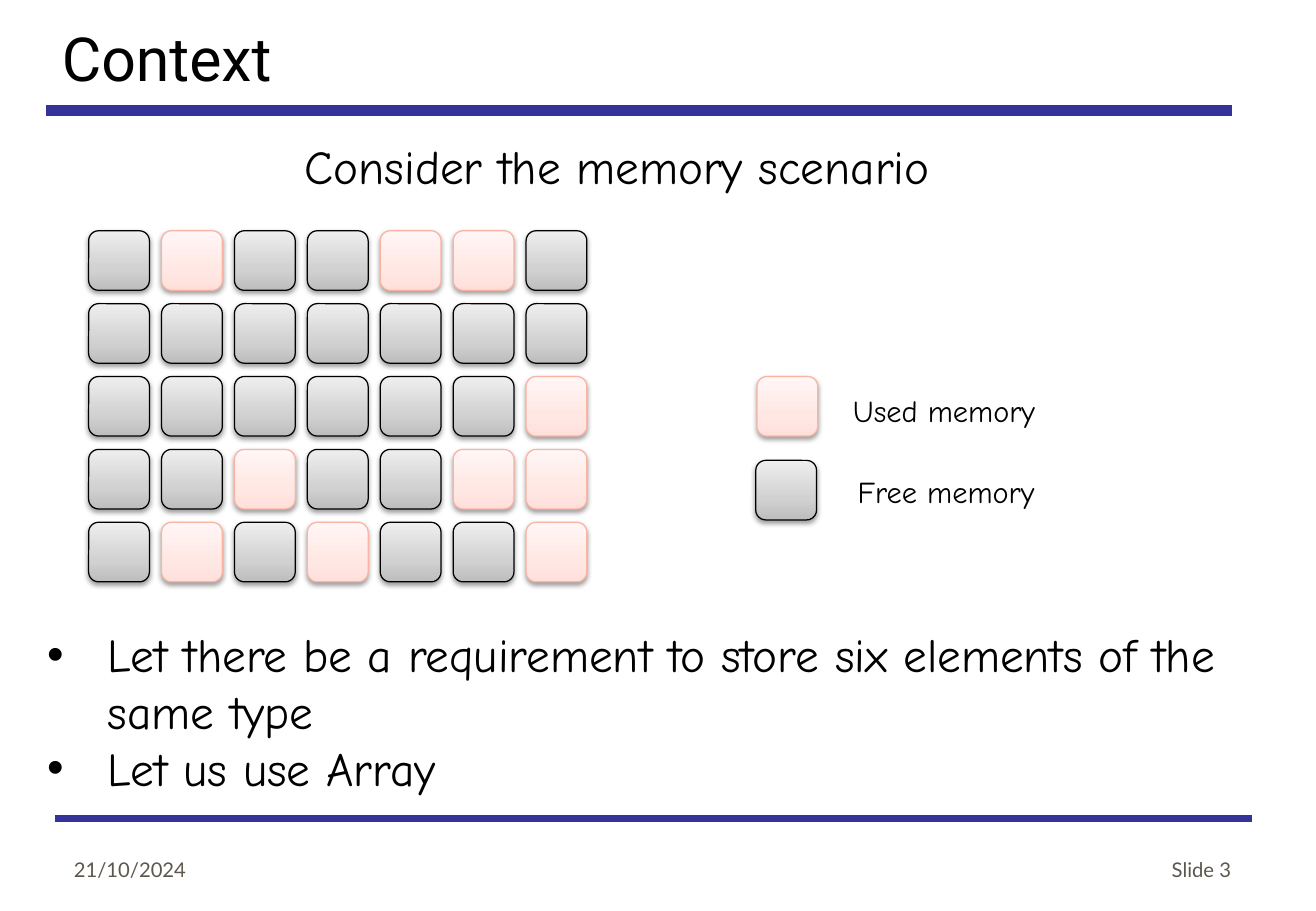
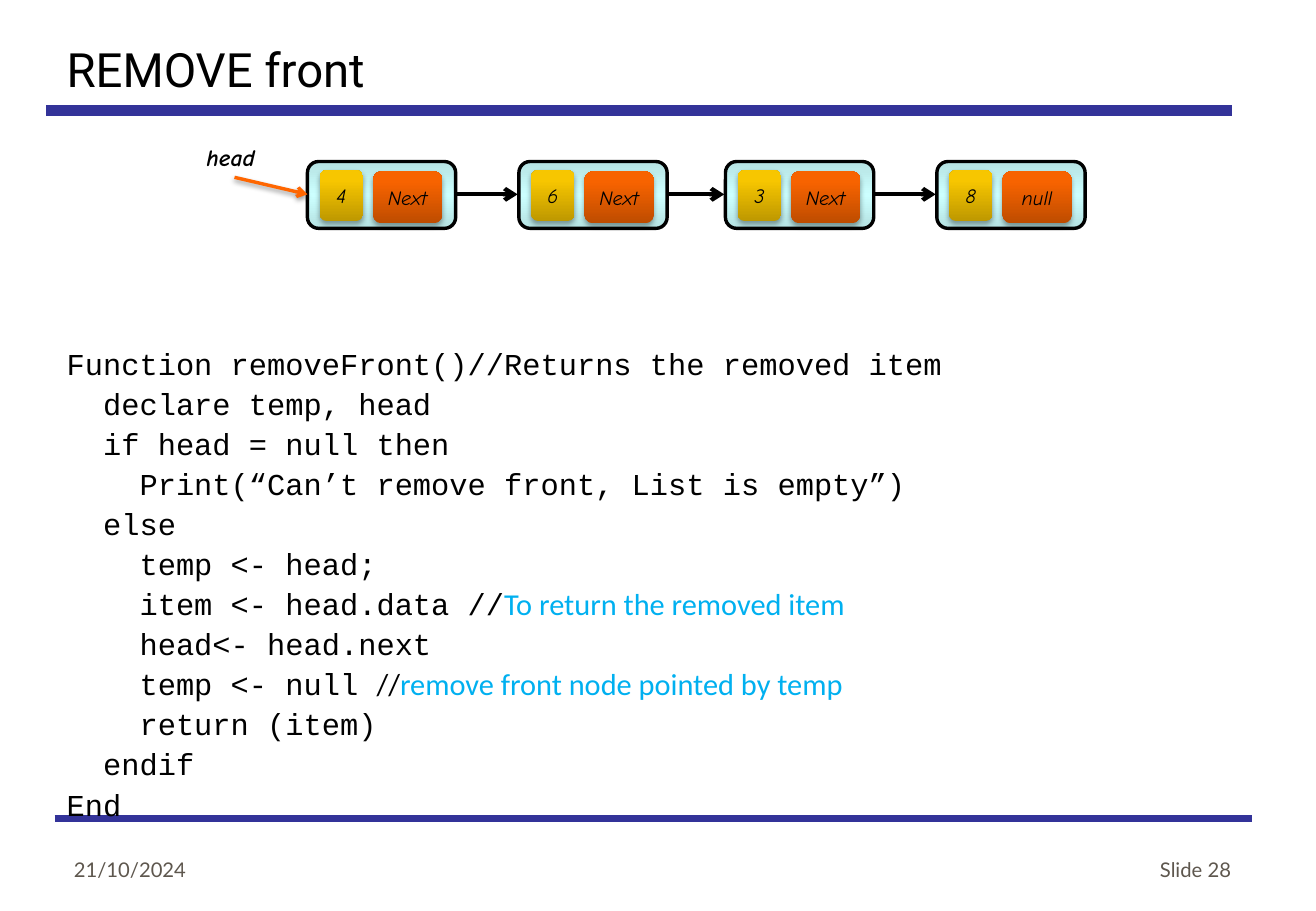
"""Build two lecture slides: a memory map, and removing the front node of a linked list."""
from lxml import etree
from pptx import Presentation
from pptx.dml.color import RGBColor
from pptx.enum.shapes import MSO_CONNECTOR, MSO_SHAPE
from pptx.enum.text import MSO_ANCHOR, PP_ALIGN
from pptx.oxml.ns import nsdecls, qn
from pptx.oxml import parse_xml
from pptx.util import Pt

PX = 9144
SLIDE_SIZE = (1083, 750)
ROUNDED, STRAIGHT = MSO_SHAPE.ROUNDED_RECTANGLE, MSO_CONNECTOR.STRAIGHT
LEFT, RIGHT, CENTER = PP_ALIGN.LEFT, PP_ALIGN.RIGHT, PP_ALIGN.CENTER
TOP, MIDDLE, BOTTOM = MSO_ANCHOR.TOP, MSO_ANCHOR.MIDDLE, MSO_ANCHOR.BOTTOM

BLACK, NAVY, TAUPE, ORANGE, SKY = "000000", "333399", "5E574E", "FF6600", "00B0F0"
HEADING, HAND, MONO, PLAIN, SMALL = "Roboto", "Comic Neue", "Courier New", "Calibri", "Lato"

FREE = {"stops": [(0, "BDBDBD"), (35, "D1D1D1"), (100, "EEEEEE")], "outline": (BLACK, 0.75)}
USED = {"stops": [(0, "FFDFDA"), (35, "FFE8E4"), (100, "FFF6F5")], "outline": ("FBB3A4", 0.75)}
NODE = {"stops": [(0, "B5E2E2"), (50, "CCFFFF"), (100, "B5E2E2")], "angle": 90,
        "outline": (BLACK, 2), "shadow": None}
DATA = {"stops": [(0, "BE9800"), (80, "F7C600"), (100, "F8C700")], "shadow": (35, 3.1, 1.8)}
LINK = {"stops": [(0, "BE4C00"), (80, "F76300"), (100, "F86300")], "shadow": (35, 3.1, 1.8)}
SOFT_SHADOW = (38, 3.1, 1.6)

DATE = "21/10/2024"
BANDS = [((38, 91), (1014, 91), 6), ((45, 674), (1030, 674), 4.5)]

MEMORY = [".#..##.", ".......", "......#", "..#..##", ".#.#..#"]
CELL_SIZE = (50, 49)
CELL_ORIGIN, CELL_STEP = (73, 190), 60
LEGEND = [(USED, (623, 310), "Used memory", (692, 318, 179, 40)),
          (FREE, (622, 379), "Free memory", (696, 385, 174, 40))]
REQUIREMENTS = ["Let there be a requirement to store six elements of the same type",
                "Let us use Array"]

LIST_NODES = [(253, "4", "Next"), (427, "6", "Next"), (597, "3", "Next"), (771, "8", "null")]
NODE_WIDTH, LIST_MIDDLE = 122, 160
CODE = [
    [("Function removeFront()//Returns the removed item", MONO, BLACK)],
    [("  declare temp, head", MONO, BLACK)],
    [("  if head = null then", MONO, BLACK)],
    [("    Print(“Can’t remove front, List is empty”)", MONO, BLACK)],
    [("  else", MONO, BLACK)],
    [("    temp <- head;", MONO, BLACK)],
    [("    item <- head.data //", MONO, BLACK), ("To return the removed item", PLAIN, SKY)],
    [("    head<- head.next", MONO, BLACK)],
    [("    temp <- null ", MONO, BLACK), ("//", PLAIN, BLACK),
     ("remove front node pointed by temp", PLAIN, SKY)],
    [("    return (item)", MONO, BLACK)],
    [("  endif", MONO, BLACK)],
    [("End", MONO, BLACK)],
]


def rgb(value):
    """Turn a hex string into a colour."""
    return RGBColor.from_string(value)


def emu(*lengths):
    """Turn px lengths into EMU."""
    return [length * PX for length in lengths]


def set_shadow(properties, shadow):
    """Give shape properties an effect list, with a downward shadow if one is set."""
    effects = etree.SubElement(properties, qn("a:effectLst"))
    if shadow:
        opacity, blur, distance = shadow
        outer = etree.SubElement(effects, qn("a:outerShdw"), blurRad=str(Pt(blur)),
                                 dist=str(Pt(distance)), dir="5400000", rotWithShape="0")
        color = etree.SubElement(outer, qn("a:srgbClr"), val=BLACK)
        etree.SubElement(color, qn("a:alpha"), val=str(opacity * 1000))


def add_line(page, start, end, color, width, arrow=False, shadow=None):
    """Draw a straight line, with an arrowhead at its end if asked."""
    line = page.shapes.add_connector(STRAIGHT, *emu(*start, *end))
    line.line.color.rgb = rgb(color)
    line.line.width = Pt(width)
    if arrow:
        etree.SubElement(line.line._get_or_add_ln(), qn("a:tailEnd"), type="arrow")
    set_shadow(line._element.spPr, shadow)


def write(box, lines, size, align=LEFT, anchor=TOP, wrap=True, italic=False, bold=False,
          bullets=False, spacing=None):
    """Fill a shape with lines, each a list of (text, font, colour) runs."""
    frame = box.text_frame
    frame.word_wrap = wrap
    frame.vertical_anchor = anchor
    for index, spans in enumerate(lines):
        para = frame.add_paragraph() if index else frame.paragraphs[0]
        para.alignment = align
        if spacing:
            para.line_spacing = Pt(spacing)
        if bullets:
            settings = para._p.get_or_add_pPr()
            settings.set("marL", str(50 * PX))
            settings.set("indent", str(-50 * PX))
            etree.SubElement(settings, qn("a:buFont"), typeface="Arial")
            etree.SubElement(settings, qn("a:buChar"), char="•")
        for text, font, color in spans:
            span = para.add_run()
            span.text = text
            span.font.name = font
            span.font.size = Pt(size)
            span.font.color.rgb = rgb(color)
            span.font.italic = italic
            span.font.bold = bold


def add_text(page, area, lines, size, **style):
    """Add a text box."""
    write(page.shapes.add_textbox(*emu(*area)), lines, size, **style)


def add_tile(page, area, stops, angle=270, outline=None, shadow=SOFT_SHADOW, label=None):
    """Add a rounded tile with a gradient and an optional label."""
    tile = page.shapes.add_shape(ROUNDED, *emu(*area))
    gradient = parse_xml(f'<a:gradFill {nsdecls("a")} rotWithShape="1"><a:gsLst/>'
                         f'<a:lin ang="{angle * 60000}" scaled="0"/></a:gradFill>')
    for position, color in stops:
        stop = etree.SubElement(gradient[0], qn("a:gs"), pos=str(position * 1000))
        etree.SubElement(stop, qn("a:srgbClr"), val=color)
    properties = tile._element.spPr
    properties.insert(2, gradient)
    if outline:
        tile.line.color.rgb = rgb(outline[0])
        tile.line.width = Pt(outline[1])
    else:
        tile.line.fill.background()
    set_shadow(properties, shadow)
    if label:
        frame = tile.text_frame
        frame.margin_left = frame.margin_right = 6 * PX
        frame.margin_top = frame.margin_bottom = 9 * PX
        write(tile, [[(label, HAND, BLACK)]], 12, align=CENTER, anchor=MIDDLE, italic=True)


def add_page(deck, title, title_area, title_size, number):
    """Add a slide with its bands, title and footer."""
    page = deck.slides.add_slide(deck.slide_layouts[6])
    for start, end, width in BANDS:
        add_line(page, start, end, NAVY, width)
    add_text(page, title_area, [[(title, HEADING, BLACK)]], title_size)
    for left, text, align in [(51, DATE, LEFT), (797, f"Slide {number}", RIGHT)]:
        add_text(page, (left, 681, 226, 50), [[(text, SMALL, TAUPE)]], 12,
                 align=align, anchor=BOTTOM)
    return page


def build_memory(deck):
    """Build the memory map slide."""
    page = add_page(deck, "Context", (41, 12, 921, 71), 36, 3)
    left, top = CELL_ORIGIN
    for row, cells in enumerate(MEMORY):
        for column, cell in enumerate(cells):
            place = (left + column * CELL_STEP, top + row * CELL_STEP)
            add_tile(page, place + CELL_SIZE, **(USED if cell == "#" else FREE))
    for kind, place, text, area in LEGEND:
        add_tile(page, place + CELL_SIZE, **kind)
        add_text(page, area, [[(text, HAND, BLACK)]], 18, wrap=False)
    add_text(page, (29, 510, 1026, 151), [[(text, HAND, BLACK)] for text in REQUIREMENTS],
             28, bullets=True)
    add_text(page, (241, 108, 583, 57), [[("Consider the memory scenario", HAND, BLACK)]],
             28, wrap=False)


def build_list(deck):
    """Build the linked list slide."""
    page = add_page(deck, "REMOVE front", (45, 28, 921, 57), 28, 28)
    add_text(page, (45, 276, 969, 378), CODE, 18, spacing=23.76)
    for left, value, link in LIST_NODES:
        add_tile(page, (left, 133, NODE_WIDTH, 55), **NODE)
        add_tile(page, (left + 10, 140, 36, 42), label=value, **DATA)
        add_tile(page, (left + 54, 141, 57, 43), label=link, **LINK)
    for (left, *_), (following, *_) in zip(LIST_NODES, LIST_NODES[1:]):
        add_line(page, (left + NODE_WIDTH, LIST_MIDDLE), (following - 1, LIST_MIDDLE),
                 BLACK, 2.5, arrow=True)
    add_text(page, (160, 113, 65, 34), [[("head", HAND, BLACK)]], 14,
             wrap=False, italic=True, bold=True)
    add_line(page, (193, 146), (LIST_NODES[0][0], LIST_MIDDLE), ORANGE, 2,
             arrow=True, shadow=SOFT_SHADOW)


def main():
    """Build and save the deck."""
    deck = Presentation()
    deck.slide_width, deck.slide_height = emu(*SLIDE_SIZE)
    build_memory(deck)
    build_list(deck)
    deck.save("out.pptx")


if __name__ == "__main__":
    main()
